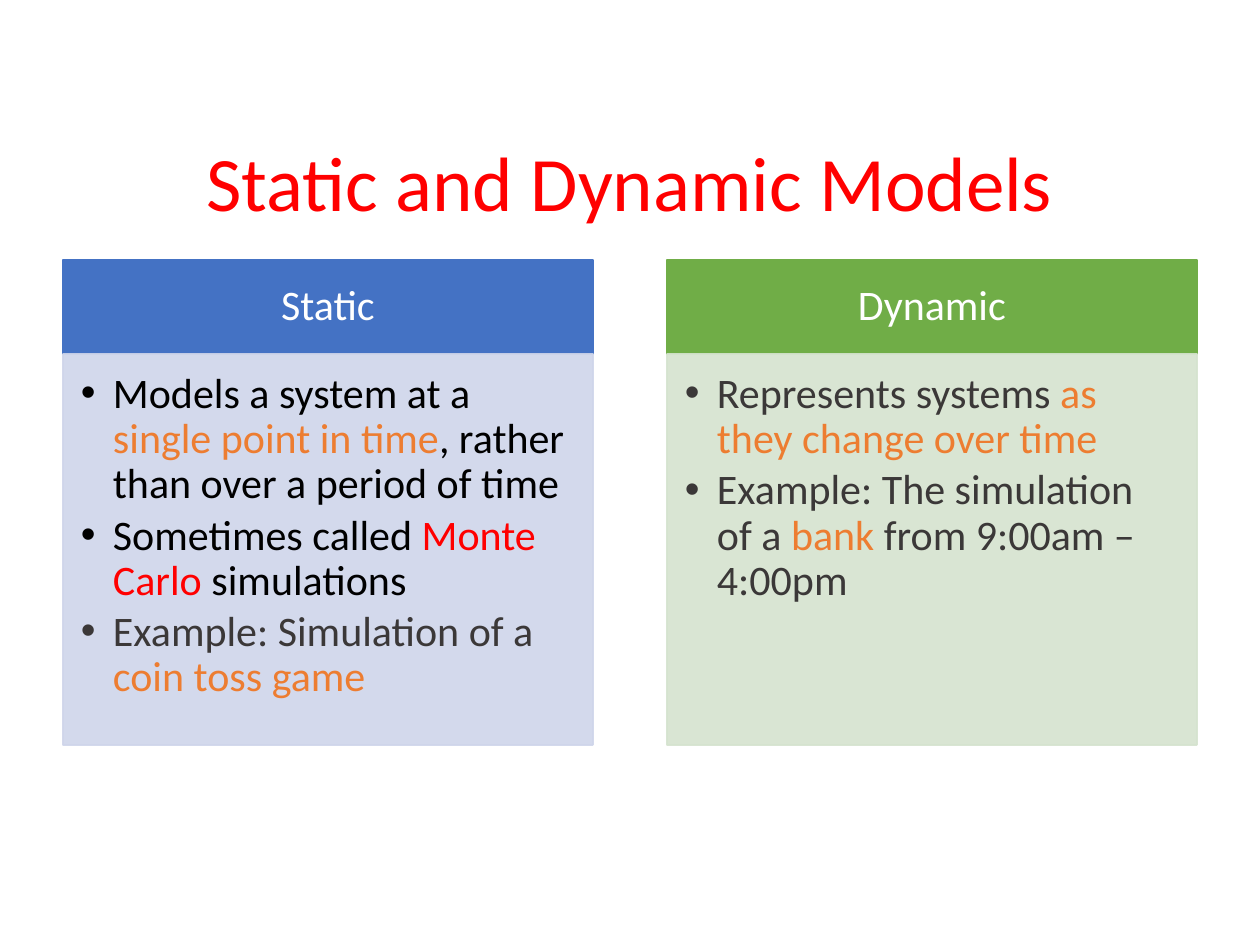
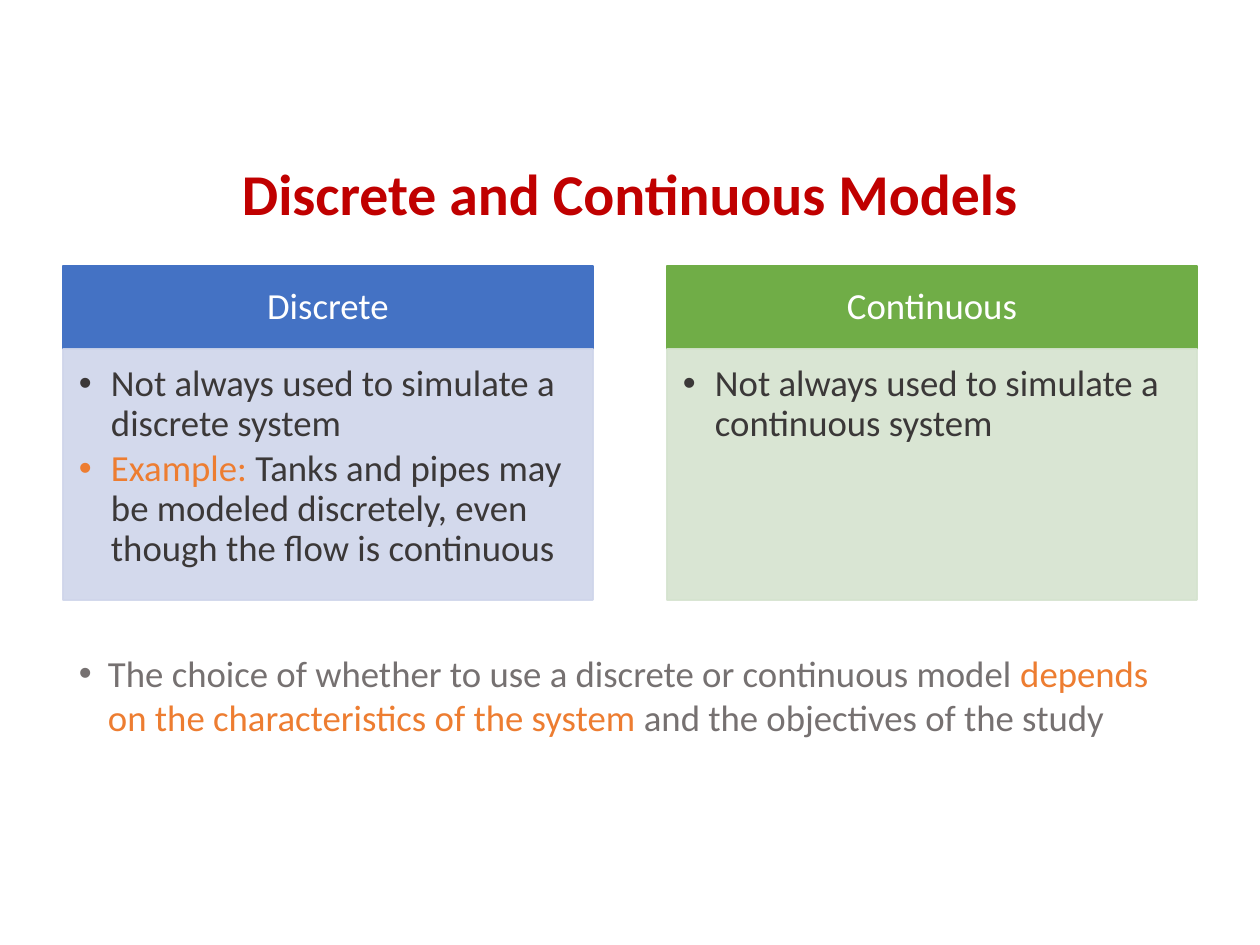
from dataclasses import dataclass

from lxml.etree import SubElement
from pptx import Presentation
from pptx.dml.color import RGBColor
from pptx.enum.shapes import MSO_SHAPE
from pptx.enum.text import MSO_ANCHOR, PP_ALIGN
from pptx.oxml.ns import qn
from pptx.util import Emu, Pt


@dataclass(frozen=True)
class Theme:
    font: str = "Calibri"
    bullet_font: str = "Arial"
    red: str = "FF0000"
    dark_red: str = "C00000"
    white: str = "FFFFFF"
    black: str = "000000"
    ink: str = "3B3838"
    gray: str = "767171"
    orange: str = "ED7D31"
    heads: tuple = ("4472C4", "70AD47")
    bodies: tuple = ("CFD5EA", "D5E3CF")
    title_size: int = 44
    small_title_size: int = 33
    large: int = 24
    medium: int = 21


theme = Theme()


def px(value):
    return Emu(round(value * 914400 / 126))


def write(box, paragraphs, size, insets=(13, 6, 13, 6), anchor=MSO_ANCHOR.TOP,
          bold=False, indent=0, spacing=0.9, after=0):
    frame = box.text_frame
    frame.word_wrap = True
    frame.vertical_anchor = anchor
    frame.margin_left, frame.margin_top, frame.margin_right, frame.margin_bottom = map(px, insets)
    for index, spans in enumerate(paragraphs):
        para = frame.add_paragraph() if index else frame.paragraphs[0]
        para.alignment = PP_ALIGN.LEFT if indent else PP_ALIGN.CENTER
        para.line_spacing = spacing
        para.space_after = Pt(after)
        if indent:
            properties = para._p.get_or_add_pPr()
            properties.set("marL", str(px(indent)))
            properties.set("indent", str(-px(indent)))
            SubElement(properties, qn("a:buFont")).set("typeface", theme.bullet_font)
            SubElement(properties, qn("a:buChar")).set("char", "•")
        for text, color in spans:
            span = para.add_run()
            span.text = text
            span.font.name = theme.font
            span.font.size = Pt(size)
            span.font.bold = bold
            span.font.color.rgb = RGBColor.from_string(color)


slides = [
    {
        "title": "Static and Dynamic Models",
        "title_top": 141, "title_height": 92,
        "title_size": theme.title_size, "title_color": theme.red, "title_bold": False,
        "size": theme.large, "top": 260, "head_height": 94, "body_height": 391,
        "head_insets": (24, 14, 24, 14), "body_insets": (18, 18, 24, 27),
        "cards": [
            ("Static", [
                [("Models a system at a ", theme.black),
                 ("single point in time", theme.orange),
                 (", rather than over a period of time", theme.black)],
                [("Sometimes called ", theme.black),
                 ("Monte Carlo", theme.red),
                 (" simulations", theme.black)],
                [("Example: Simulation of a ", theme.ink),
                 ("coin toss game", theme.orange)],
            ]),
            ("Dynamic", [
                [("Represents systems ", theme.ink),
                 ("as they change over time", theme.orange)],
                [("Example: The simulation of a ", theme.ink),
                 ("bank ", theme.orange),
                 ("from 9:00am – 4:00pm", theme.ink)],
            ]),
        ],
        "note": [],
    },
    {
        "title": "Discrete and Continuous Models",
        "title_top": 156, "title_height": 82,
        "title_size": theme.small_title_size, "title_color": theme.dark_red, "title_bold": True,
        "size": theme.medium, "top": 266, "head_height": 83, "body_height": 251,
        "head_insets": (20, 12, 20, 12), "body_insets": (16, 16, 20, 23),
        "cards": [
            ("Discrete", [
                [("Not always used to simulate a discrete system", theme.ink)],
                [("Example: ", theme.orange),
                 ("Tanks and pipes may be modeled discretely, "
                  "even though the flow is continuous", theme.ink)],
            ]),
            ("Continuous", [
                [("Not always used to simulate a continuous system", theme.ink)],
            ]),
        ],
        "note": [
            ("The choice of whether to use a discrete or continuous model ", theme.gray),
            ("depends on the characteristics of the system ", theme.orange),
            ("and the objectives of the study", theme.gray),
        ],
    },
]

deck = Presentation()
deck.slide_width = px(1260)
deck.slide_height = px(945)
margin, card_width = 63, 530
card_step = 1260 - 2 * margin - card_width

for content in slides:
    page = deck.slides.add_slide(deck.slide_layouts[6])
    title = page.shapes.add_textbox(px(87), px(content["title_top"]),
                                    px(1086), px(content["title_height"]))
    write(title, [[(content["title"], content["title_color"])]], content["title_size"],
          anchor=MSO_ANCHOR.MIDDLE, bold=content["title_bold"])

    for column, (heading, points) in enumerate(content["cards"]):
        left = margin + column * card_step
        body_top = content["top"] + content["head_height"]
        parts = [
            (content["top"], content["head_height"], theme.heads[column], 100),
            (body_top, content["body_height"], theme.bodies[column], 90),
        ]
        boxes = []
        for top, height, color, opacity in parts:
            box = page.shapes.add_shape(MSO_SHAPE.RECTANGLE, px(left), px(top),
                                        px(card_width), px(height))
            box.shadow.inherit = False
            box.fill.solid()
            box.fill.fore_color.rgb = RGBColor.from_string(color)
            box.line.color.rgb = RGBColor.from_string(color)
            box.line.width = Pt(1)
            if opacity < 100:
                for paint in list(box._element.spPr.iter(qn("a:srgbClr"))):
                    SubElement(paint, qn("a:alpha")).set("val", str(opacity * 1000))
            boxes.append(box)
        head, body = boxes
        write(head, [[(heading, theme.white)]], content["size"],
              insets=content["head_insets"], anchor=MSO_ANCHOR.MIDDLE)
        write(body, points, content["size"], insets=content["body_insets"],
              indent=32, after=3.3)

    if content["note"]:
        note = page.shapes.add_textbox(px(66), px(645), px(1129), px(102))
        write(note, [content["note"]], content["size"], indent=29, spacing=1.0)

deck.save("out.pptx")
